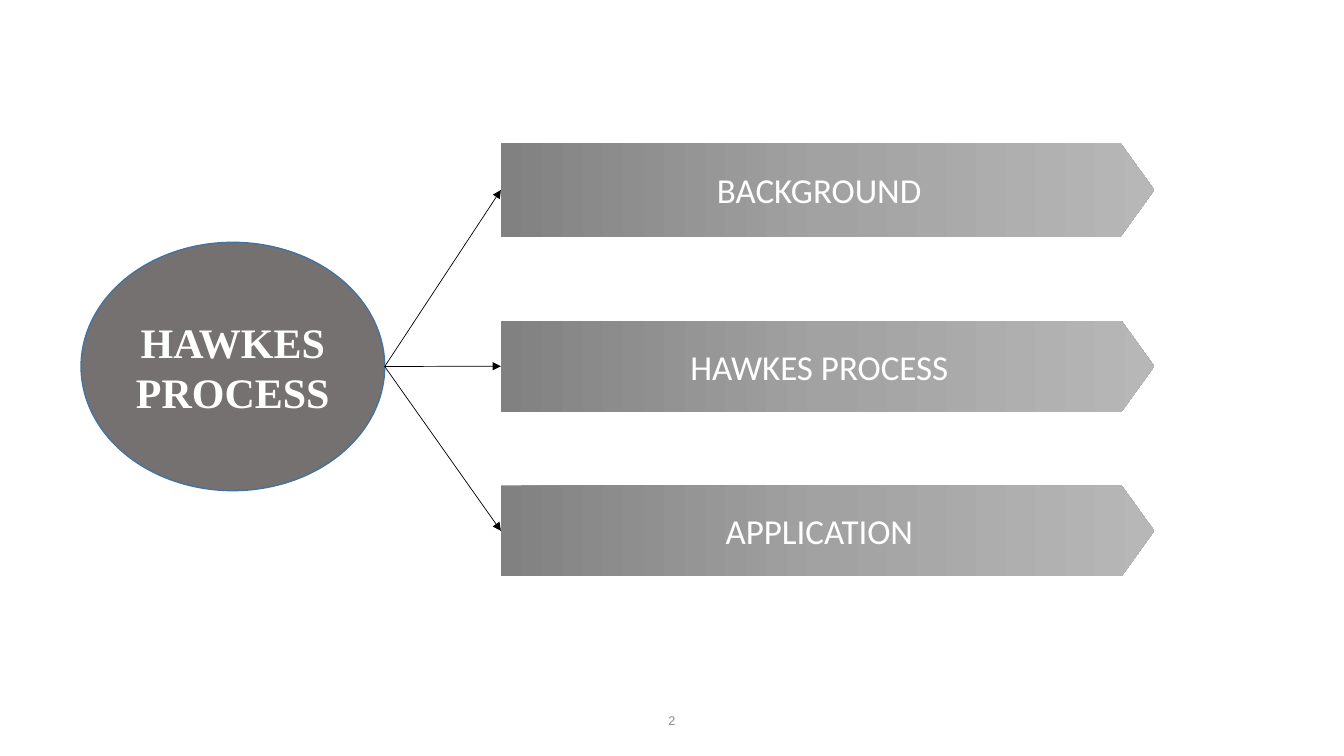
import copy

import pptx
import pptx.dml.color
import pptx.enum.shapes
import pptx.enum.text
import pptx.oxml
import pptx.oxml.ns
import pptx.util

Pt = pptx.util.Pt
SHAPES = pptx.enum.shapes.MSO_SHAPE
COLOURS = {
    "white": "FFFFFF",
    "topic": "767171",
    "topic edge": "43739E",
    "arrow": "000000",
    "number": "898989",
}
BANNER_GRADIENT = [(0, "818181"), (0.5, "A2A2A2"), (1, "B7B7B7")]


def rgb(value):
    return pptx.dml.color.RGBColor.from_string(value)


def write_centred(shape, text, font_name, size, colour, bold=False):
    frame = shape.text_frame
    frame.word_wrap = True
    frame.vertical_anchor = pptx.enum.text.MSO_ANCHOR.MIDDLE
    frame.margin_left = frame.margin_right = 0
    para = frame.paragraphs[0]
    para.text = text
    para.alignment = pptx.enum.text.PP_ALIGN.CENTER
    para.font.name = font_name
    para.font.size = Pt(size)
    para.font.bold = bold
    para.font.color.rgb = rgb(colour)


deck = pptx.Presentation()
deck.slide_width, deck.slide_height = Pt(960), Pt(540)
page = deck.slides.add_slide(deck.slide_layouts[6])

# Central topic
topic = page.shapes.add_shape(SHAPES.OVAL, Pt(57.9), Pt(173.1), Pt(216.9), Pt(177.4))
topic.shadow.inherit = False
topic.fill.solid()
topic.fill.fore_color.rgb = rgb(COLOURS["topic"])
topic.line.color.rgb = rgb(COLOURS["topic edge"])
topic.line.width = Pt(1)
write_centred(topic, "HAWKES PROCESS", "Times New Roman", 30, COLOURS["white"], True)

# Section banners, each reached by an arrow from the topic
banners = [
    ("BACKGROUND", 102.2, 67),
    ("HAWKES PROCESS", 229, 65.2),
    ("APPLICATION", 346.8, 64.8),
]
for title, top, height in banners:
    banner = page.shapes.add_shape(SHAPES.PENTAGON, Pt(357.8), Pt(top), Pt(466.7), Pt(height))
    banner.adjustments[0] = 0.36
    banner.shadow.inherit = False
    banner.line.fill.background()
    banner.fill.gradient()
    banner.fill.gradient_angle = 0
    first_stop = banner._element.spPr.find(".//" + pptx.oxml.ns.qn("a:gs"))
    first_stop.addnext(copy.deepcopy(first_stop))
    for stop, (position, colour) in zip(banner.fill.gradient_stops, BANNER_GRADIENT):
        stop.position = position
        stop.color.rgb = rgb(colour)
    write_centred(banner, title, "Calibri", 25, COLOURS["white"])

    arrow = page.shapes.add_connector(
        pptx.enum.shapes.MSO_CONNECTOR.STRAIGHT,
        topic.left + topic.width, topic.top + topic.height // 2,
        banner.left, banner.top + banner.height // 2,
    )
    arrow.end_connect(banner, 1)
    arrow.line.color.rgb = rgb(COLOURS["arrow"])
    arrow.line.width = Pt(0.5)
    head = pptx.oxml.parse_xml(f'<a:tailEnd {pptx.oxml.ns.nsdecls("a")} type="triangle"/>')
    arrow.line._get_or_add_ln().append(head)
    arrow._element.spPr.append(pptx.oxml.parse_xml(f'<a:effectLst {pptx.oxml.ns.nsdecls("a")}/>'))

# Page number
number = page.shapes.add_textbox(Pt(318), Pt(500.5), Pt(324), Pt(28.75))
write_centred(number, "2", "Arial", 9, COLOURS["number"])

deck.save("out.pptx")
